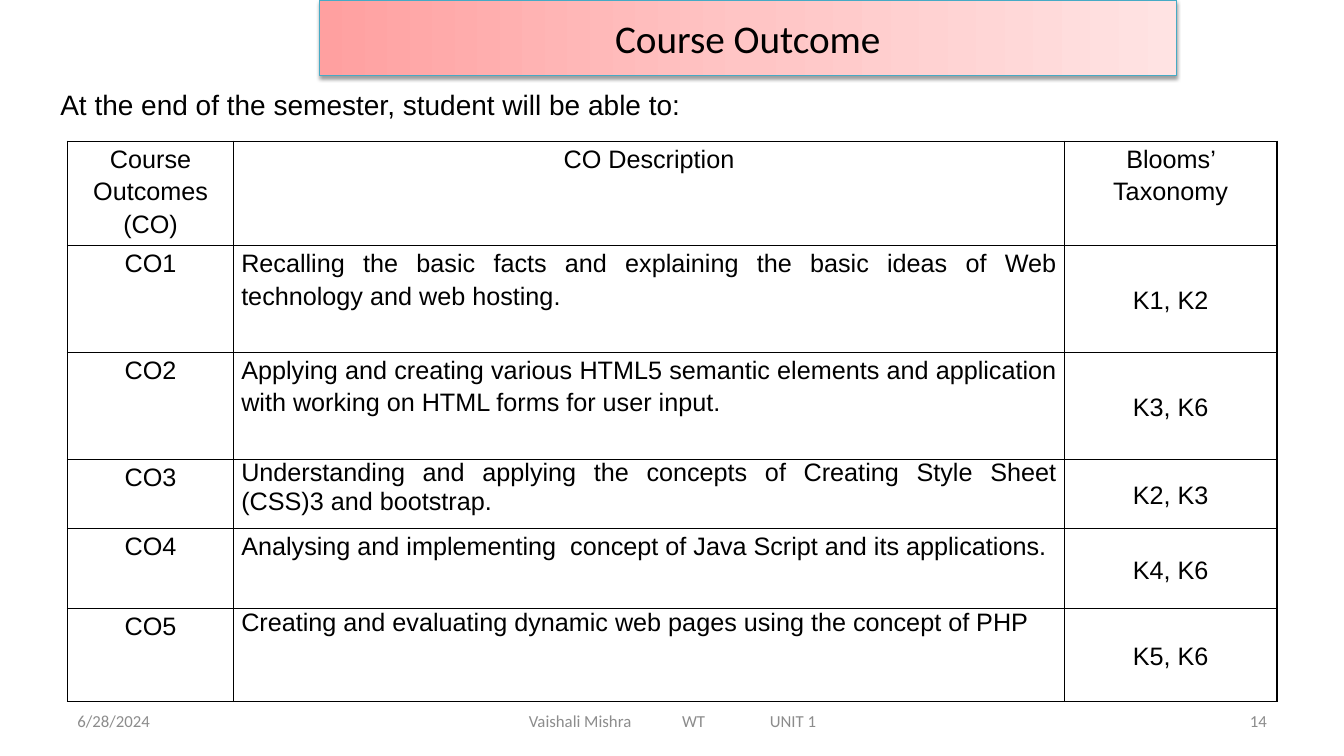
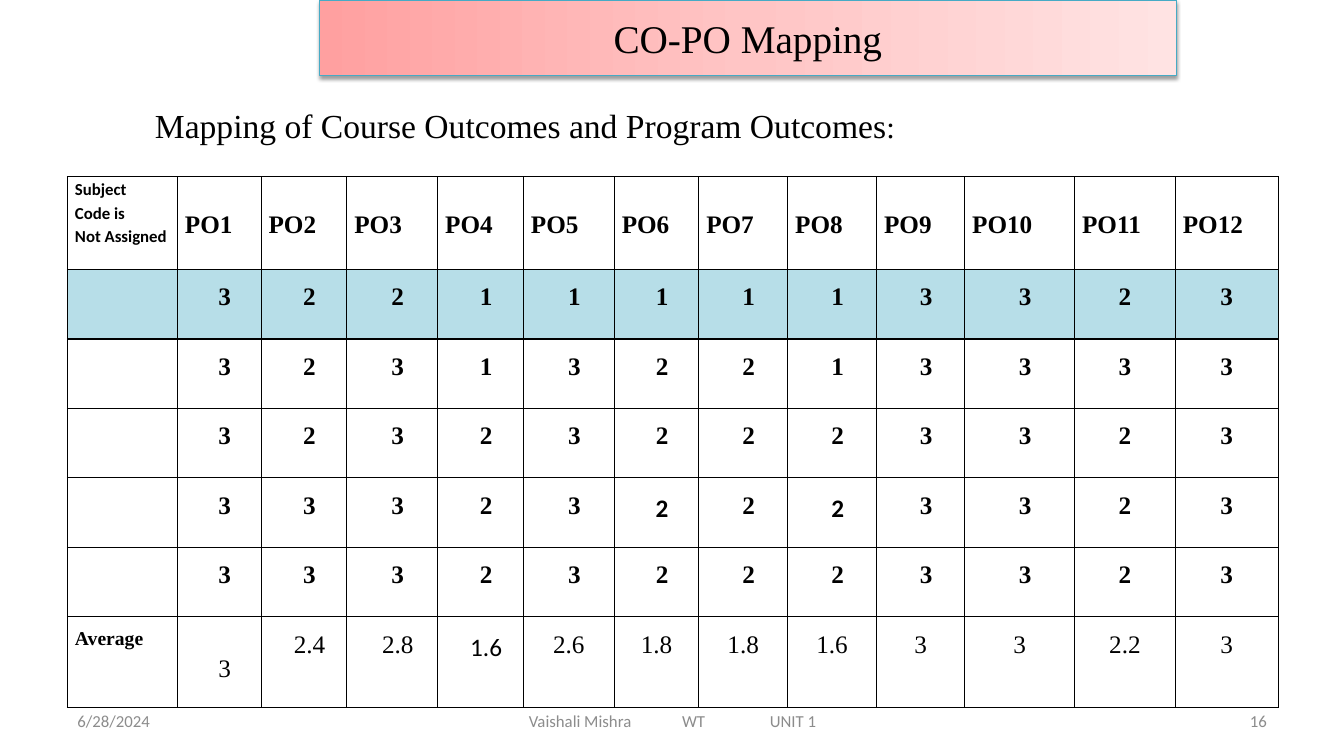
from copy import deepcopy

from lxml import etree
from pptx import Presentation
from pptx import util as u
from pptx.dml.color import RGBColor
from pptx.enum import text as t
from pptx.oxml import ns

Cm = u.Cm
LEFT, MID, RIGHT, JUST = (t.PP_ALIGN.LEFT, t.PP_ALIGN.CENTER,
                          t.PP_ALIGN.RIGHT, t.PP_ALIGN.JUSTIFY)
TOP, CENTRE = t.MSO_ANCHOR.TOP, t.MSO_ANCHOR.MIDDLE
SANS, BODY, SERIF = "Arial", "Calibri", "Times New Roman"
BLACK, GREY, EDGE, TINT = "000000", "8C8C8C", "46AAC5", "B7DEE8"
FADE = ((0, "FFA0A0"), (0.5, "FFC5C5"), (1, "FFE3E3"))


def rgb(code):
    return RGBColor.from_string(code)


def node(top, tag, **attrs):
    item = etree.SubElement(top, ns.qn(tag))
    for key, val in attrs.items():
        item.set(key, str(val))
    return item


class Deck:
    """Holds the shared style and the slide being filled."""

    def __init__(self):
        self.prs = Presentation()
        self.prs.slide_width, self.prs.slide_height = Cm(33.87), Cm(19.05)
        self.slide = None

    def add(self, title, num, font):
        """Start a slide with its title band and footer."""
        self.slide = self.prs.slides.add_slide(self.prs.slide_layouts[5])
        self.band(title, font)
        foot = {"size": 12, "name": BODY, "color": GREY}
        self.text("6/28/2024", (1.7, 17.65, 7.9, 1.02), foot)
        names = self.text("", (13.08, 17.65, 9.2, 1.02), foot)
        tabs = node(names._p.get_or_add_pPr(), "a:tabLst")
        for stop in (3.86, 6.07):
            node(tabs, "a:tab", pos=Cm(stop), algn="l")
        self.run(names, "Vaishali Mishra\tWT\tUNIT 1", foot)
        self.text(str(num), (24.28, 17.65, 7.9, 1.02), foot, RIGHT)

    def place(self, shape, box):
        for key, val in zip(("left", "top", "width", "height"), box):
            setattr(shape, key, Cm(val))

    def band(self, title, font):
        band = self.slide.shapes.title
        self.place(band, (8.05, 0, 21.59, 1.91))
        band.fill.gradient()
        band.fill.gradient_angle = 0
        props = band._element.spPr
        stops = props.find(".//" + ns.qn("a:gsLst"))
        stops.append(deepcopy(stops[-1]))
        for stop, (pos, code) in zip(band.fill.gradient_stops, FADE):
            stop.position, stop.color.rgb = pos, rgb(code)
        band.line.color.rgb, band.line.width = rgb(EDGE), u.Pt(0.75)
        band.shadow.inherit = False
        shade = node(props.find(ns.qn("a:effectLst")), "a:outerShdw",
                     blurRad=u.Pt(3.1), dist=u.Pt(1.6), dir=5400000, rotWithShape=0)
        node(node(shade, "a:srgbClr", val=BLACK), "a:alpha", val=38000)
        frame = band.text_frame
        frame.auto_size, frame.vertical_anchor = t.MSO_AUTO_SIZE.NONE, CENTRE
        self.para(frame.paragraphs[0], title,
                  {"size": 28, "name": font, "color": BLACK}, MID)

    def run(self, par, words, style):
        run = par.add_run()
        run.text = words
        for key, val in style.items():
            if key == "color":
                run.font.color.rgb = rgb(val)
            else:
                setattr(run.font, key, u.Pt(val) if key == "size" else val)

    def para(self, par, words, style, align=LEFT, space=None, indent=0):
        par.alignment, par.line_spacing = align, space
        if indent:
            par._p.get_or_add_pPr().set("marL", str(Cm(indent)))
        if words:
            self.run(par, words, style)

    def text(self, words, box, style, align=LEFT, anchor=CENTRE, space=None):
        """Add a text box and return its paragraph."""
        shape = self.slide.shapes.add_textbox(*map(Cm, box))
        frame = shape.text_frame
        frame.word_wrap, frame.vertical_anchor = True, anchor
        self.para(frame.paragraphs[0], words, style, align, space)
        return frame.paragraphs[0]

    def table(self, top, cols, rows):
        shape = self.slide.shapes.add_table(
            len(rows), len(cols), Cm(1.7), Cm(top), Cm(sum(cols)), Cm(sum(rows)))
        table = shape.table
        table.first_row = table.horz_banding = False
        for col, size in zip(table.columns, cols):
            col.width = Cm(size)
        for row, size in zip(table.rows, rows):
            row.height = Cm(size)
        for cell in table.iter_cells():
            self.frame(cell)
        return table

    def frame(self, cell):
        """Give a cell black borders, no fill and narrow margins."""
        props = cell._tc.get_or_add_tcPr()
        for side in "LRTB":
            line = node(props, "a:ln" + side, w=u.Pt(1))
            node(node(line, "a:solidFill"), "a:srgbClr", val=BLACK)
        cell.fill.background()
        cell.margin_left = cell.margin_right = Cm(0.19)
        cell.margin_top = cell.margin_bottom = 0

    def cell(self, cell, words, style, align, space, anchor=TOP, indent=0):
        cell.vertical_anchor = anchor
        frame = cell.text_frame
        for i, line in enumerate(words.split("\n")):
            par = frame.add_paragraph() if i else frame.paragraphs[0]
            self.para(par, line, style, align, space, indent)


HEAD = ("Course Outcomes (CO)", "CO Description", "Blooms’ Taxonomy")
GOALS = (
    ("Recalling the basic facts and explaining the basic ideas of Web technology "
     "and web hosting.", "K1, K2", 1.15),
    ("Applying and creating various HTML5 semantic elements and application with "
     "working on HTML forms for user input.", "K3, K6", 1.15),
    ("Understanding and applying the concepts of Creating Style Sheet (CSS)3 and "
     "bootstrap.", "K2, K3", 1),
    ("Analysing and implementing  concept of Java Script and its applications.",
     "K4, K6", 1.15),
    ("Creating and evaluating dynamic web pages using the concept of PHP",
     "K5, K6", 1),
)
SCORES = ("322111113323", "323132213333", "323232223323",
          "333232223323", "333232223323")
MEANS = "3 2.4 2.8 1.6 2.6 1.8 1.8 1.6 3 3 2.2 3".split()
ODD = {(4, 6), (4, 8), (6, 4)}  # cells set in the body font


def goals(deck):
    deck.add("Course Outcome", 14, BODY)
    style = {"size": 18, "name": SANS, "color": BLACK}
    deck.text("At the end of the semester, student will be able to:",
              (1.27, 2.08, 24.13, 1.12), {**style, "size": 20})
    table = deck.table(3.56, (4.19, 20.93, 5.36),
                       (2.62, 2.69, 2.69, 1.75, 2.01, 2.34))
    for c, name in enumerate(HEAD):
        deck.cell(table.cell(0, c), name, style, MID, 1.15)
    for r, (goal, level, space) in enumerate(GOALS, 1):
        deck.cell(table.cell(r, 0), f"CO{r}", style, MID, 1.15)
        deck.cell(table.cell(r, 1), goal, style, JUST, space)
        deck.cell(table.cell(r, 2), level, style, MID, 1.15, CENTRE)


def mapping(deck):
    deck.add("CO-PO Mapping", 16, SERIF)
    style = {"size": 24, "name": SERIF, "color": BLACK}
    lead = deck.text("Mapping of Course Outcomes and Program Outcomes",
                     (3.02, 2.36, 20.42, 2.26), style, MID, TOP, 1.15)
    deck.run(lead, ":", {**style, "size": 22})

    table = deck.table(
        4.45, (2.77, 2.11, 2.16, 2.29, 2.16, 2.29, 2.13, 2.24, 2.24, 2.22,
               2.77, 2.54, 2.59), (2.34, *[1.75] * 5, 2.29))
    bold = {**style, "size": 18, "bold": True}
    deck.cell(table.cell(0, 0), "Subject\nCode is\nNot Assigned",
              {**bold, "size": 12, "name": BODY}, JUST, 1.15)
    deck.cell(table.cell(6, 0), "Average", {**bold, "size": 14}, JUST, 1.5)
    for c in range(1, 13):
        deck.cell(table.cell(0, c), f"PO{c}", bold, JUST, 1.15, CENTRE)
    for r, row in enumerate((*SCORES, MEANS), 1):
        mean = r == 6
        for c, score in enumerate(row, 1):
            look = {**bold, "bold": not mean, "name": BODY if (r, c) in ODD else SERIF}
            deck.cell(table.cell(r, c), score, look, MID, 1.5,
                      CENTRE if mean and c == 1 else TOP,
                      0.28 if c <= (4 if mean else 10) else 0)
    for c in range(13):
        fill = table.cell(1, c).fill
        fill.solid()
        fill.fore_color.rgb = rgb(TINT)


def main():
    deck = Deck()
    goals(deck)
    mapping(deck)
    deck.prs.save("out.pptx")


if __name__ == "__main__":
    main()
